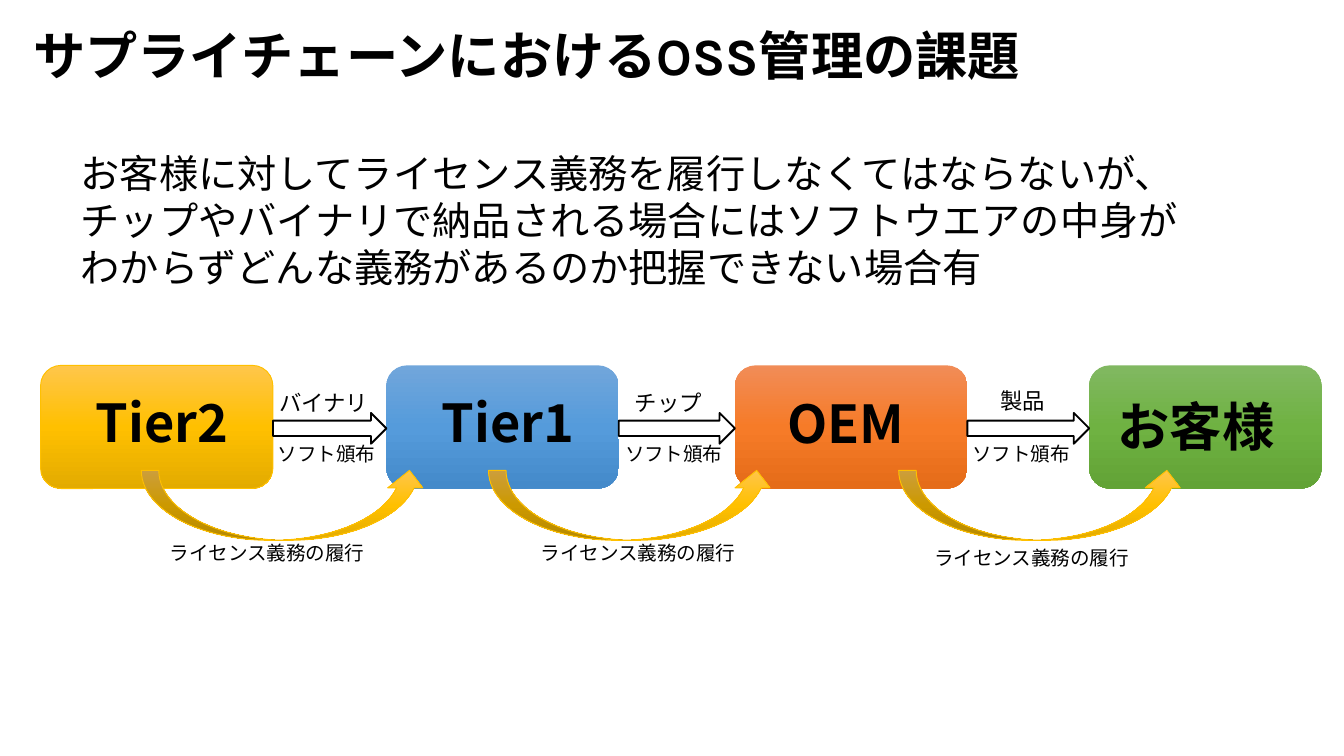
"""Build the slide on OSS management issues in the supply chain."""
from copy import deepcopy
from dataclasses import dataclass

from lxml import etree
from pptx import Presentation
from pptx.dml.color import RGBColor
from pptx.enum.shapes import MSO_SHAPE
from pptx.enum.text import MSO_ANCHOR, PP_ALIGN
from pptx.oxml.ns import qn
from pptx.util import Emu, Pt

ROUNDED, RIGHT, CURVED = (MSO_SHAPE.ROUNDED_RECTANGLE, MSO_SHAPE.RIGHT_ARROW,
                          MSO_SHAPE.CURVED_UP_ARROW)
TOP, LEFT = MSO_ANCHOR.TOP, PP_ALIGN.LEFT
PX = 9525


@dataclass(frozen=True)
class Theme:
    ink: str = "000000"
    paper: str = "FFFFFF"
    gold_line: str = "FFC000"
    gold: tuple = ("FFC64B", "FFC000", "E3AB00")
    blue: tuple = ("71A6DB", "559BDB", "448ACA")
    orange: tuple = ("F18C57", "F67B28", "E56C19")
    green: tuple = ("81B861", "6FB242", "62A336")
    heading_font: str = "Karla"
    label_font: str = "Noto Sans CJK JP"
    title_size: float = 28
    body_size: float = 21
    cargo_size: float = 12
    note_size: float = 10.5


theme = Theme()


def write(holder, box, lines, size, font, bold=False):
    holder.left, holder.top, holder.width, holder.height = (Emu(v * PX) for v in box)
    frame = holder.text_frame
    frame.word_wrap = True
    frame.vertical_anchor = TOP
    for index, line in enumerate(lines):
        paragraph = frame.add_paragraph() if index else frame.paragraphs[0]
        paragraph.alignment = LEFT
        paragraph.space_before = Pt(0)
        properties = paragraph._p.get_or_add_pPr()
        properties.set("marL", "0")
        properties.set("indent", "0")
        etree.SubElement(properties, qn("a:buNone"))
        run = paragraph.add_run()
        run.text = line
        run.font.size, run.font.bold, run.font.name = Pt(size), bold, font
        run.font.color.rgb = RGBColor.from_string(theme.ink)
        east_asian = etree.SubElement(run._r.get_or_add_rPr(), qn("a:ea"))
        east_asian.set("typeface", font)


def draw(preset, box, colors, line=None, line_width=0.5):
    shape = slide.shapes.add_shape(preset, *(Emu(v * PX) for v in box))
    shape.shadow.inherit = False
    if len(colors) == 1:
        shape.fill.solid()
        shape.fill.fore_color.rgb = RGBColor.from_string(colors[0])
    else:
        shape.fill.gradient()
        shape.fill.gradient_angle = 270
        stop_list = next(shape._element.spPr.iter(qn("a:gsLst")))
        stop_list.append(deepcopy(stop_list[0]))
        for stop, color, position in zip(shape.fill.gradient_stops, colors, (0, 0.5, 1)):
            stop.color.rgb = RGBColor.from_string(color)
            stop.position = position
    if line:
        shape.line.color.rgb = RGBColor.from_string(line)
        shape.line.width = Pt(line_width)
    else:
        shape.line.fill.background()


deck = Presentation()
deck.slide_width, deck.slide_height = Emu(960 * PX), Emu(540 * PX)
slide = deck.slides.add_slide(deck.slide_layouts[1])
title, body = slide.placeholders

write(title, (14, 12, 813, 55), ["サプライチェーンにおけるOSS管理の課題"],
      theme.title_size, theme.heading_font, True)
write(body, (48, 102, 813, 111),
      ["お客様に対してライセンス義務を履行しなくてはならないが、",
       "チップやバイナリで納品される場合にはソフトウエアの中身が",
       "わからずどんな義務があるのか把握できない場合有"],
      theme.body_size, theme.heading_font)

BOX_TOP, BOX_WIDTH, BOX_HEIGHT = 261, 166, 88
parties = [
    ("Tier2", 29, theme.gold, theme.gold_line, 59, 274),
    ("Tier1", 276, theme.blue, None, 306, 274),
    ("OEM", 525, theme.orange, None, 553, 275),
    ("お客様", 778, theme.green, None, 789, 277),
]
for party, left, colors, line, name_left, name_top in parties:
    draw(ROUNDED, (left, BOX_TOP, BOX_WIDTH, BOX_HEIGHT), colors, line)
    write(slide.shapes.add_textbox(0, 0, 0, 0), (name_left, name_top, 144, 55),
          [party], theme.title_size, theme.label_font, True)

deliveries = [
    ("バイナリ", 190, 273, 189, 101, 112, 382),
    ("チップ", 444, 273, 437, 349, 377, 382),
    ("製品", 705, 272, 685, 642, 658, 385),
]
for index, delivery in enumerate(deliveries):
    cargo, cargo_left, cargo_top, software_left, arc_left, duty_left, duty_top = delivery
    start = parties[index][1] + BOX_WIDTH
    draw(RIGHT, (start, 295, parties[index + 1][1] - start, 22),
         (theme.paper,), theme.ink, 1)
    draw(CURVED, (arc_left, 336, 204, 50), theme.gold, theme.gold_line)
    labels = [
        (cargo, (cargo_left, cargo_top, 99, 29), theme.cargo_size),
        ("ソフト頒布", (software_left, 311, 107, 28), theme.note_size),
        ("ライセンス義務の履行", (duty_left, duty_top, 210, 28), theme.note_size),
    ]
    for label, box, size in labels:
        write(slide.shapes.add_textbox(0, 0, 0, 0), box, [label], size, theme.label_font)

deck.save("out.pptx")
